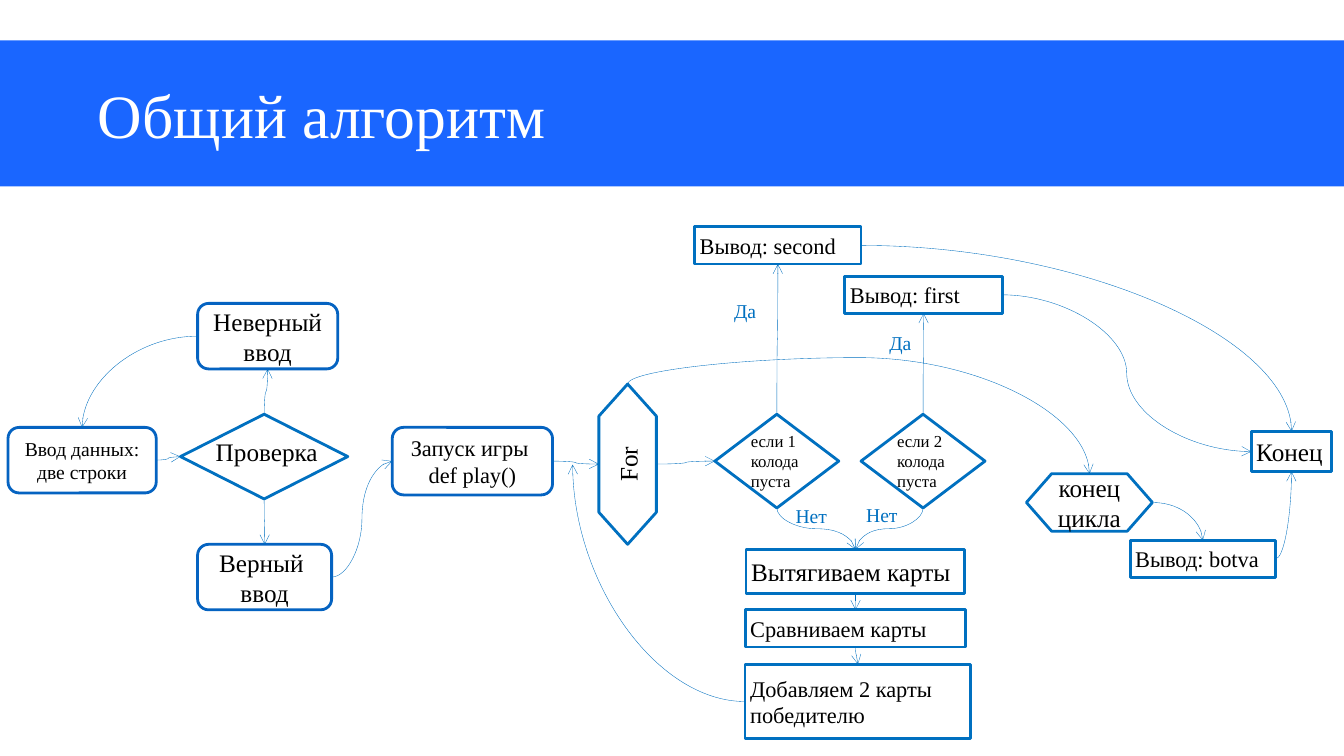
from dataclasses import dataclass

from lxml import etree
from pptx import Presentation
from pptx.dml.color import RGBColor
from pptx.enum.shapes import MSO_CONNECTOR, MSO_SHAPE
from pptx.enum.text import MSO_ANCHOR, PP_ALIGN
from pptx.oxml.ns import qn
from pptx.util import Inches, Pt

RECTANGLE = MSO_SHAPE.RECTANGLE
ROUNDED = MSO_SHAPE.ROUNDED_RECTANGLE
DIAMOND = MSO_SHAPE.DIAMOND
HEXAGON = MSO_SHAPE.FLOWCHART_PREPARATION
CURVE = MSO_CONNECTOR.CURVE
LEFT, CENTER, JUSTIFY = PP_ALIGN.LEFT, PP_ALIGN.CENTER, PP_ALIGN.JUSTIFY
TOP, MIDDLE = MSO_ANCHOR.TOP, MSO_ANCHOR.MIDDLE

FONT = "Times New Roman"
COLORS = {
    "banner": "1A66FF",
    "white": "FFFFFF",
    "black": "000000",
    "outline": "0070C0",
    "rounded": "0563C1",
}
SIDES = ("top", "left", "bottom", "right")
HEADINGS = {"right": 0, "left": 0, "bottom": 90, "top": 270}


@dataclass(frozen=True)
class Node:
    name: str
    kind: int
    left: float
    top: float
    width: float
    height: float
    text: str = ""
    size: int = 16
    align: int = LEFT
    rotation: int = 0


@dataclass(frozen=True)
class Label:
    text: str
    left: float
    top: float
    width: float = 0.49
    height: float = 0.33
    size: int = 14
    color: str = "outline"


@dataclass(frozen=True)
class Arrow:
    begin: str
    begin_side: str
    end: str
    end_side: str
    bend: float = 0.5


NODES = (
    Node("input", ROUNDED, 0.08, 4.24, 1.47, 0.65, "Ввод данных: две строки", 14, CENTER),
    Node("wrong", ROUNDED, 1.96, 3.01, 1.39, 0.65, "Неверный ввод", 18, CENTER),
    Node("right", ROUNDED, 1.96, 5.4, 1.33, 0.65, "Верный \nввод", 18, CENTER),
    Node("check", DIAMOND, 1.79, 4.11, 1.66, 0.84),
    Node("play", ROUNDED, 3.89, 4.24, 1.59, 0.67, "Запуск игры \ndef play()", 16, CENTER),
    Node("for", HEXAGON, 5.43, 4.32, 1.59, 0.57, "For", 18, CENTER, 270),
    Node("deck 2", DIAMOND, 8.54, 4.11, 1.23, 0.93, "если 2 колода пуста", 12),
    Node("deck 1", DIAMOND, 7.09, 4.11, 1.23, 0.93, "если 1 колода пуста", 12),
    Node("draw", RECTANGLE, 7.4, 5.45, 2.17, 0.44, "Вытягиваем карты", 18),
    Node("compare", RECTANGLE, 7.39, 6.05, 2.19, 0.37, "Сравниваем карты"),
    Node("award", RECTANGLE, 7.39, 6.59, 2.24, 0.74, "Добавляем 2 карты победителю"),
    Node("first", RECTANGLE, 8.38, 2.74, 1.56, 0.37, "Вывод: first"),
    Node("second", RECTANGLE, 6.89, 2.25, 1.65, 0.37, "Вывод: second"),
    Node("finish", RECTANGLE, 12.41, 4.28, 0.8, 0.4, "Конец", 18),
    Node("loop end", HEXAGON, 10.18, 4.7, 1.25, 0.57, "конец цикла ", 18, CENTER),
    Node("botva", RECTANGLE, 11.21, 5.36, 1.44, 0.37, "Вывод: botva"),
)
LABELS = (
    Label("Проверка", 2.09, 4.28, 1.26, 0.4, 18, "black"),
    Label("Да", 7.23, 2.92),
    Label("Да", 8.77, 3.23),
    Label("Нет", 7.84, 4.95),
    Label("Нет", 8.54, 4.94),
)
LOOP_ENTRY = "loop entry"
FREE_POINTS = {LOOP_ENTRY: (5.68, 4.61)}
ARROWS = (
    Arrow("right", "right", "play", "left"),
    Arrow("input", "right", "check", "left"),
    Arrow("wrong", "left", "input", "top"),
    Arrow("check", "top", "wrong", "bottom"),
    Arrow("check", "bottom", "right", "top"),
    Arrow("play", "right", "for", "left"),
    Arrow("for", "right", "deck 1", "left"),
    Arrow("deck 2", "bottom", "draw", "top"),
    Arrow("deck 1", "bottom", "draw", "top"),
    Arrow("draw", "bottom", "compare", "top"),
    Arrow("compare", "bottom", "award", "top"),
    Arrow("award", "left", LOOP_ENTRY, "bottom"),
    Arrow("deck 1", "top", "second", "bottom"),
    Arrow("deck 2", "top", "first", "bottom"),
    Arrow("second", "right", "finish", "top"),
    Arrow("first", "right", "finish", "left"),
    Arrow("for", "top", "loop end", "top", -0.295),
    Arrow("loop end", "right", "botva", "top"),
    Arrow("botva", "right", "finish", "bottom"),
)


def write_text(shape, text: str, *, size: int, color: str, align=LEFT, anchor=MIDDLE, inset=0.05) -> None:
    frame = shape.text_frame
    frame.text = text
    frame.word_wrap = True
    frame.vertical_anchor = anchor
    frame.margin_left = frame.margin_right = Inches(inset)
    frame.margin_top = frame.margin_bottom = Inches(0.05)
    for paragraph in frame.paragraphs:
        paragraph.alignment = align
        for run in paragraph.runs:
            run.font.name = FONT
            run.font.size = Pt(size)
            run.font.color.rgb = RGBColor.from_string(COLORS[color])


def add_box(slide, node: Node, fill: str, line: str = ""):
    box = [Inches(value) for value in (node.left, node.top, node.width, node.height)]
    shape = slide.shapes.add_shape(node.kind, *box)
    shape.shadow.inherit = False
    shape.rotation = node.rotation
    shape.fill.solid()
    shape.fill.fore_color.rgb = RGBColor.from_string(COLORS[fill])
    if line:
        shape.line.color.rgb = RGBColor.from_string(COLORS[line])
        shape.line.width = Pt(2)
    else:
        shape.line.fill.background()
    if node.text:
        inset = 0.1 if node.kind == ROUNDED else 0.05
        write_text(shape, node.text, size=node.size, color="black", align=node.align, inset=inset)
    return shape


def add_label(slide, label: Label) -> None:
    box = [Inches(value) for value in (label.left, label.top, label.width, label.height)]
    shape = slide.shapes.add_textbox(*box)
    write_text(shape, label.text, size=label.size, color=label.color, anchor=TOP)


def side_point(node: Node, side: str) -> tuple[float, float]:
    center_x, center_y = node.left + node.width / 2, node.top + node.height / 2
    width, height = (node.height, node.width) if node.rotation else (node.width, node.height)
    shift_x, shift_y = {"top": (0, -1), "left": (-1, 0), "bottom": (0, 1), "right": (1, 0)}[side]
    return center_x + shift_x * width / 2, center_y + shift_y * height / 2


def site_index(node: Node, side: str) -> int:
    return (SIDES.index(side) - node.rotation // 90) % 4 if not node.rotation else (SIDES.index(side) - 1) % 4


def add_arrow(slide, arrow: Arrow, nodes: dict[str, Node], shapes: dict) -> None:
    begin_x, begin_y = side_point(nodes[arrow.begin], arrow.begin_side)
    end_x, end_y = FREE_POINTS.get(arrow.end) or side_point(nodes[arrow.end], arrow.end_side)
    connector = slide.shapes.add_connector(
        CURVE, Inches(begin_x), Inches(begin_y), Inches(end_x), Inches(end_y))
    connector.begin_connect(shapes[arrow.begin], site_index(nodes[arrow.begin], arrow.begin_side))
    if arrow.end in shapes:
        connector.end_connect(shapes[arrow.end], site_index(nodes[arrow.end], arrow.end_side))

    heading = HEADINGS[arrow.begin_side]
    delta_x, delta_y = end_x - begin_x, end_y - begin_y
    along, across = {0: (delta_x, delta_y), 90: (delta_y, -delta_x), 270: (-delta_y, delta_x)}[heading]
    connector.width, connector.height = Inches(abs(along)), Inches(abs(across))
    connector.left = Inches((begin_x + end_x - abs(along)) / 2)
    connector.top = Inches((begin_y + end_y - abs(across)) / 2)
    properties = connector._element.spPr
    transform = properties.find(qn("a:xfrm"))
    transform.set("rot", str(heading * 60000))
    transform.set("flipH", str(int(along < 0)))
    transform.set("flipV", str(int(across < 0)))

    geometry = properties.find(qn("a:prstGeom"))
    if (heading == 0) != (HEADINGS[arrow.end_side] == 0):
        geometry.set("prst", "curvedConnector2")
    else:
        guides = geometry.find(qn("a:avLst"))
        etree.SubElement(guides, qn("a:gd"), name="adj1", fmla=f"val {round(arrow.bend * 100000)}")
    connector.line.color.rgb = RGBColor.from_string(COLORS["outline"])
    connector.line.width = Pt(0.25)
    etree.SubElement(connector.line._get_or_add_ln(), qn("a:tailEnd"), type="arrow")
    etree.SubElement(properties, qn("a:effectLst"))


def main() -> None:
    presentation = Presentation()
    presentation.slide_width, presentation.slide_height = Inches(13.33), Inches(7.5)
    slide = presentation.slides.add_slide(presentation.slide_layouts[5])
    title = slide.shapes.title
    banner = add_box(slide, Node("banner", RECTANGLE, 0, 0.4, 13.33, 1.45), "banner")
    title._element.addprevious(banner._element)
    title.left, title.top, title.width, title.height = (Inches(value) for value in (0.92, 0.4, 11.5, 1.45))
    write_text(title, "Общий алгоритм", size=44, color="white", align=JUSTIFY)

    nodes = {node.name: node for node in NODES}
    shapes = {}
    for node in NODES:
        line = "rounded" if node.kind == ROUNDED else "outline"
        shapes[node.name] = add_box(slide, node, "white", line)
    for arrow in ARROWS:
        add_arrow(slide, arrow, nodes, shapes)
    for label in LABELS:
        add_label(slide, label)
    presentation.save("out.pptx")


if __name__ == "__main__":
    main()
